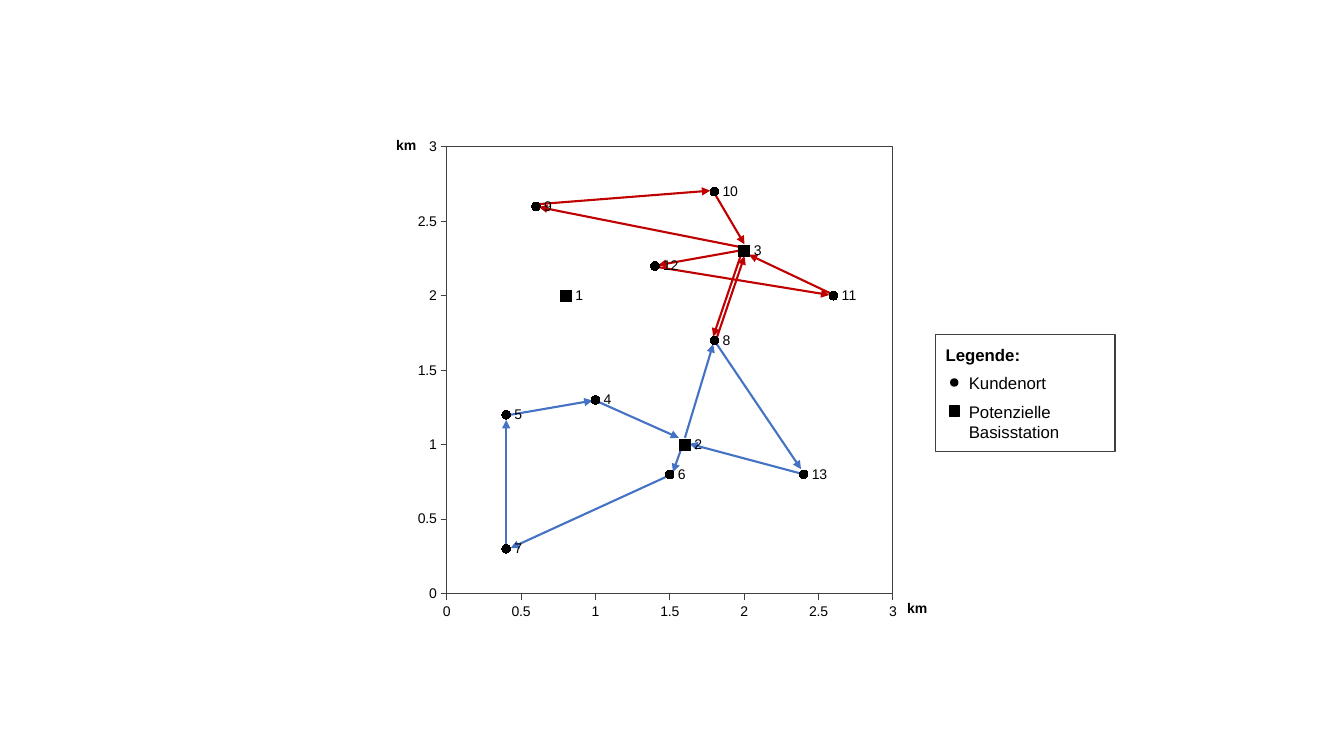
from lxml.etree import SubElement
from pptx import Presentation
from pptx.chart.data import XyChartData
from pptx.dml.color import RGBColor
from pptx.enum.chart import XL_CHART_TYPE, XL_LABEL_POSITION, XL_MARKER_STYLE, XL_TICK_MARK
from pptx.enum.shapes import MSO_CONNECTOR, MSO_SHAPE
from pptx.enum.text import MSO_ANCHOR, PP_ALIGN
from pptx.oxml import parse_xml
from pptx.oxml.ns import nsdecls, qn
from pptx.util import Inches, Pt

BLACK, GREY, BLUE, RED = "000000", "404040", "4472C4", "C00000"
LEFT, BASE, UNIT = 4.43, 5.88, 1.477  # inches: map origin and one km


def paint(form, tone):
    """Give a fill or line format a solid hex colour."""
    fill = form if hasattr(form, "solid") else form.fill
    fill.solid()
    fill.fore_color.rgb = RGBColor.from_string(tone)


def style(font, size, bold=False):
    """Set black Arial at the given size."""
    font.name, font.size, font.bold = "Arial", Pt(size), bold
    paint(font.fill, BLACK)


deck = Presentation()
deck.slide_width, deck.slide_height = Inches(13.33), Inches(7.5)
slide = deck.slides.add_slide(deck.slide_layouts[6])

# Tour legs: start and end in km
tours = {
    BLUE: [
        (1.0, 1.29, 1.56, 1.04), (1.6, 1.04, 1.79, 1.67),
        (1.8, 1.69, 2.38, 0.83), (2.38, 0.8, 1.63, 1.0),
        (0.4, 1.19, 0.98, 1.29), (0.4, 0.32, 0.4, 1.16),
        (1.5, 0.79, 0.43, 0.3), (1.58, 0.98, 1.52, 0.81),
    ],
    RED: [
        (1.98, 2.3, 1.42, 2.2), (1.4, 2.19, 2.57, 2.0),
        (2.6, 2.0, 2.03, 2.27), (1.98, 2.32, 0.62, 2.59),
        (0.62, 2.61, 1.77, 2.7), (1.8, 2.68, 2.0, 2.34),
        (1.98, 2.28, 1.79, 1.72), (1.81, 1.7, 2.0, 2.26),
    ],
}
for tone, legs in tours.items():
    for x1, y1, x2, y2 in legs:
        ends = [Inches(n) for n in (LEFT + x1 * UNIT, BASE - y1 * UNIT,
                                    LEFT + x2 * UNIT, BASE - y2 * UNIT)]
        leg = slide.shapes.add_connector(MSO_CONNECTOR.STRAIGHT, *ends)
        paint(leg.line, tone)
        leg.line.width = Pt(1.5)
        SubElement(leg.line._get_or_add_ln(), qn("a:tailEnd"), type="triangle")
        SubElement(leg._element.spPr, qn("a:effectLst"))

# Map of stations and customers
spots = [(0.8, 2), (1.6, 1), (2, 2.3), (1, 1.3), (0.4, 1.2), (1.5, 0.8), (0.4, 0.3),
         (1.8, 1.7), (0.6, 2.6), (1.8, 2.7), (2.6, 2), (1.4, 2.2), (2.4, 0.8)]
data = XyChartData()
group = data.add_series("Series 1")
for x, y in spots:
    group.add_data_point(x, y)
chart = slide.shapes.add_chart(XL_CHART_TYPE.XY_SCATTER, Inches(4.06), Inches(1.29),
                               Inches(5.22), Inches(4.93), data).chart
chart.has_title = chart.has_legend = False
style(chart.font, 10)
for axis in (chart.category_axis, chart.value_axis):
    axis.minimum_scale, axis.maximum_scale, axis.major_unit = 0, 3, 0.5
    axis.has_major_gridlines = False
    axis.major_tick_mark, axis.minor_tick_mark = XL_TICK_MARK.OUTSIDE, XL_TICK_MARK.NONE
    axis.tick_labels.number_format = "General"
    axis.tick_labels.number_format_is_linked = False
    paint(axis.format.line, GREY)
    axis.format.line.width = Pt(0.75)

nodes = chart.plots[0].series[0]
nodes.format.line.fill.background()
nodes.marker.style, nodes.marker.size = XL_MARKER_STYLE.CIRCLE, 6
paint(nodes.marker.format.fill, BLACK)
paint(nodes.marker.format.line, BLACK)
for i in range(len(spots)):
    point = nodes.points[i]
    if i < 3:
        point.marker.style, point.marker.size = XL_MARKER_STYLE.SQUARE, 8
        paint(point.marker.format.fill, BLACK)
        paint(point.marker.format.line, BLACK)
    label = point.data_label
    run = label.text_frame.paragraphs[0].add_run()
    run.text = str(i + 1)
    style(run.font, 10)
    label.position = XL_LABEL_POSITION.RIGHT

# Fixed plot frame, clear chart ground
area = chart.element.find(".//" + qn("c:plotArea"))
for old in area.findall(qn("c:layout")):
    area.remove(old)
layout = parse_xml(f"<c:layout {nsdecls('c')}><c:manualLayout/></c:layout>")
rules = {"layoutTarget": "inner", "xMode": "edge", "yMode": "edge",
         "x": "0.071", "y": "0.034", "w": "0.848", "h": "0.899"}
for name, value in rules.items():
    SubElement(layout[0], qn("c:" + name), val=value)
area.insert(0, layout)
clear = f"<c:spPr {nsdecls('c', 'a')}><a:noFill/><a:ln%s</a:ln></c:spPr>"
area.append(parse_xml(clear % (
    f' w="9525"><a:solidFill><a:srgbClr val="{GREY}"/></a:solidFill>')))
chart.element.find(qn("c:chart")).addnext(parse_xml(clear % "><a:noFill/>"))

# Axis units
for x, y in ((8.9, 5.9), (3.83, 1.31)):
    box = slide.shapes.add_textbox(Inches(x), Inches(y), Inches(0.54), Inches(0.27))
    box.text_frame.word_wrap = True
    unit = box.text_frame.paragraphs[0]
    unit.text = "km"
    style(unit.font, 10, True)

# Legend
parts = [(MSO_SHAPE.RECTANGLE, 9.28, 3.32, 1.78, 1.16),
         (MSO_SHAPE.OVAL, 9.43, 3.76, 0.07, 0.07),
         (MSO_SHAPE.RECTANGLE, 9.42, 4.03, 0.1, 0.1)]
legend = slide.shapes.add_group_shape()
for kind, *place in parts:
    shape = legend.shapes.add_shape(kind, *[Inches(n) for n in place])
    shape.shadow.inherit = False
    paint(shape.fill, BLACK)
    paint(shape.line, BLACK)
    shape.line.width = Pt(1)
frame = legend.shapes[0]
frame.fill.background()
paint(frame.line, GREY)
text = frame.text_frame
text.word_wrap, text.vertical_anchor = True, MSO_ANCHOR.MIDDLE
rows = [("Legende:", 0, 6), ("Kundenort", 0.23, 6),
        ("Potenzielle", 0.23, 0), ("Basisstation", 0.23, 6)]
for i, (words, inset, gap) in enumerate(rows):
    para = text.add_paragraph() if i else text.paragraphs[0]
    para.text, para.alignment, para.space_after = words, PP_ALIGN.LEFT, Pt(gap)
    para._p.get_or_add_pPr().set("marL", str(Inches(inset)))
    style(para.font, 12, i == 0)

deck.save("out.pptx")
